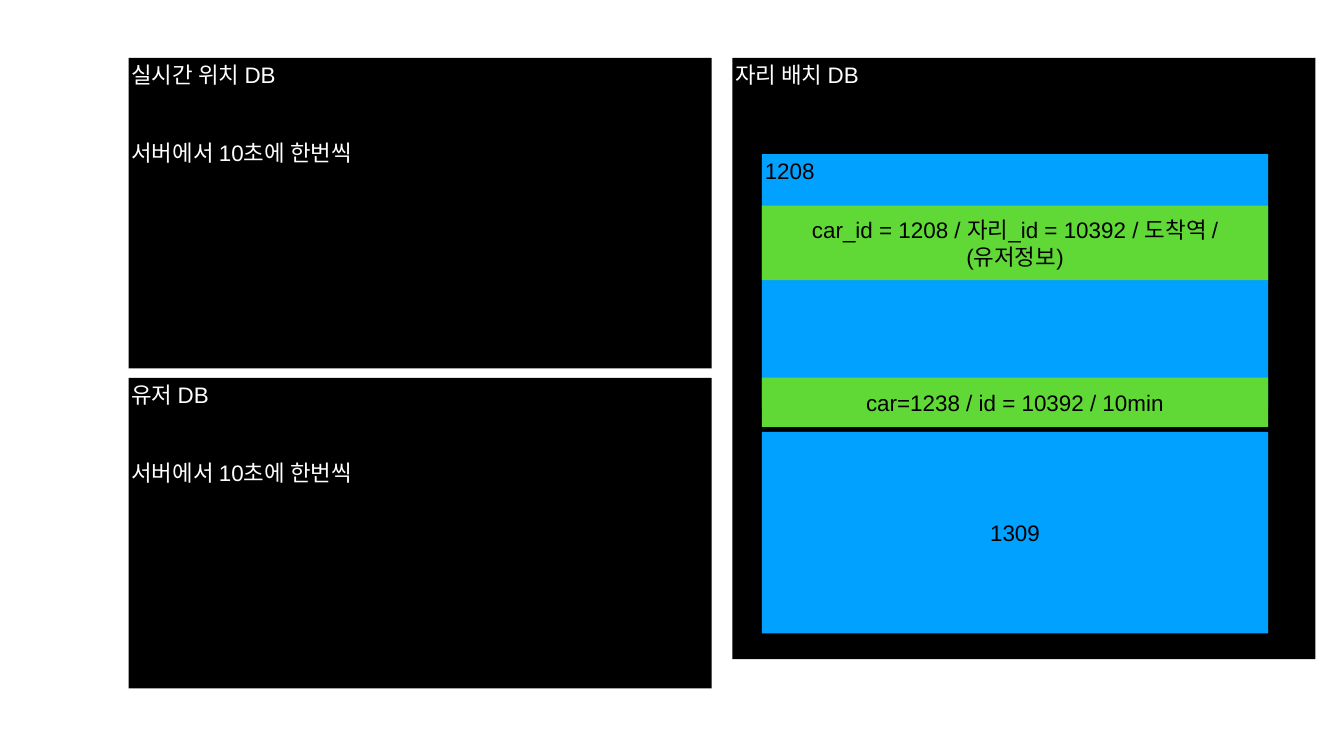
"""Build a slide of three database panels with seat records inside one of them."""
import pptx
import pptx.dml.color
import pptx.enum.shapes
import pptx.enum.text
import pptx.util

Pt = pptx.util.Pt
BLACK, WHITE, BLUE, GREEN = "000000", "FFFFFF", "00A1FF", "60D937"
SLIDE_SIZE = (1920, 1080)
INSET = 4
FONT_SIZE = 32
LINE_GAP = 74

PANEL_WIDTH = 833
PANEL_LEFT, PANEL_TOP = 183.6, 82.8
PANEL_STEP_X, PANEL_STEP_Y = 862.5, 457.2
PANELS = [
    (0, 0, 443.5, ["실시간 위치 DB", "서버에서 10초에 한번씩"]),
    (0, 1, 443.5, ["유저 DB", "서버에서 10초에 한번씩"]),
    (1, 0, 859, ["자리 배치 DB"]),
]

RECORD_LEFT, RECORD_WIDTH = 1088.6, 722.9
RECORDS = [
    (220.3, 361.4, BLUE, ["1208"], False),
    (617, 288, BLUE, ["1309"], True),
    (293.8, 106.5, GREEN, ["car_id = 1208 / 자리_id = 10392 / 도착역 /", "(유저정보)"], True),
    (539.3, 70.6, GREEN, ["car=1238 / id = 10392 / 10min"], True),
]


def color(value):
    """Return the colour for a hex string."""
    return pptx.dml.color.RGBColor.from_string(value)


def write_text(box, lines, ink=BLACK, centered=False, gap=0):
    """Write one paragraph per line into the box."""
    frame = box.text_frame
    frame.word_wrap = True
    frame.margin_left = frame.margin_right = Pt(INSET)
    frame.margin_top = frame.margin_bottom = Pt(INSET)
    anchors, aligns = pptx.enum.text.MSO_ANCHOR, pptx.enum.text.PP_ALIGN
    frame.vertical_anchor = anchors.MIDDLE if centered else anchors.TOP
    for index, line in enumerate(lines):
        para = frame.add_paragraph() if index else frame.paragraphs[0]
        para.alignment = aligns.CENTER if centered else aligns.LEFT
        para.space_before = Pt(gap if index else 0)
        span = para.add_run()
        span.text = line
        span.font.name = "Arial"
        span.font.size = Pt(FONT_SIZE)
        span.font.color.rgb = color(ink)


def add_box(page, left, top, width, height, fill):
    """Add a plain filled rectangle."""
    box = page.shapes.add_shape(
        pptx.enum.shapes.MSO_SHAPE.RECTANGLE, Pt(left), Pt(top), Pt(width), Pt(height))
    box.shadow.inherit = False
    box.fill.solid()
    box.fill.fore_color.rgb = color(fill)
    box.line.fill.background()
    return box


def main():
    """Build and save the deck."""
    deck = pptx.Presentation()
    deck.slide_width, deck.slide_height = map(Pt, SLIDE_SIZE)
    page = deck.slides.add_slide(deck.slide_layouts[6])
    for column, row, height, lines in PANELS:
        left = PANEL_LEFT + column * PANEL_STEP_X
        top = PANEL_TOP + row * PANEL_STEP_Y
        panel = add_box(page, left, top, PANEL_WIDTH, height, BLACK)
        write_text(panel, lines, ink=WHITE, gap=LINE_GAP)
    for top, height, fill, lines, centered in RECORDS:
        record = add_box(page, RECORD_LEFT, top, RECORD_WIDTH, height, fill)
        write_text(record, lines, centered=centered)
    deck.save("out.pptx")


if __name__ == "__main__":
    main()
